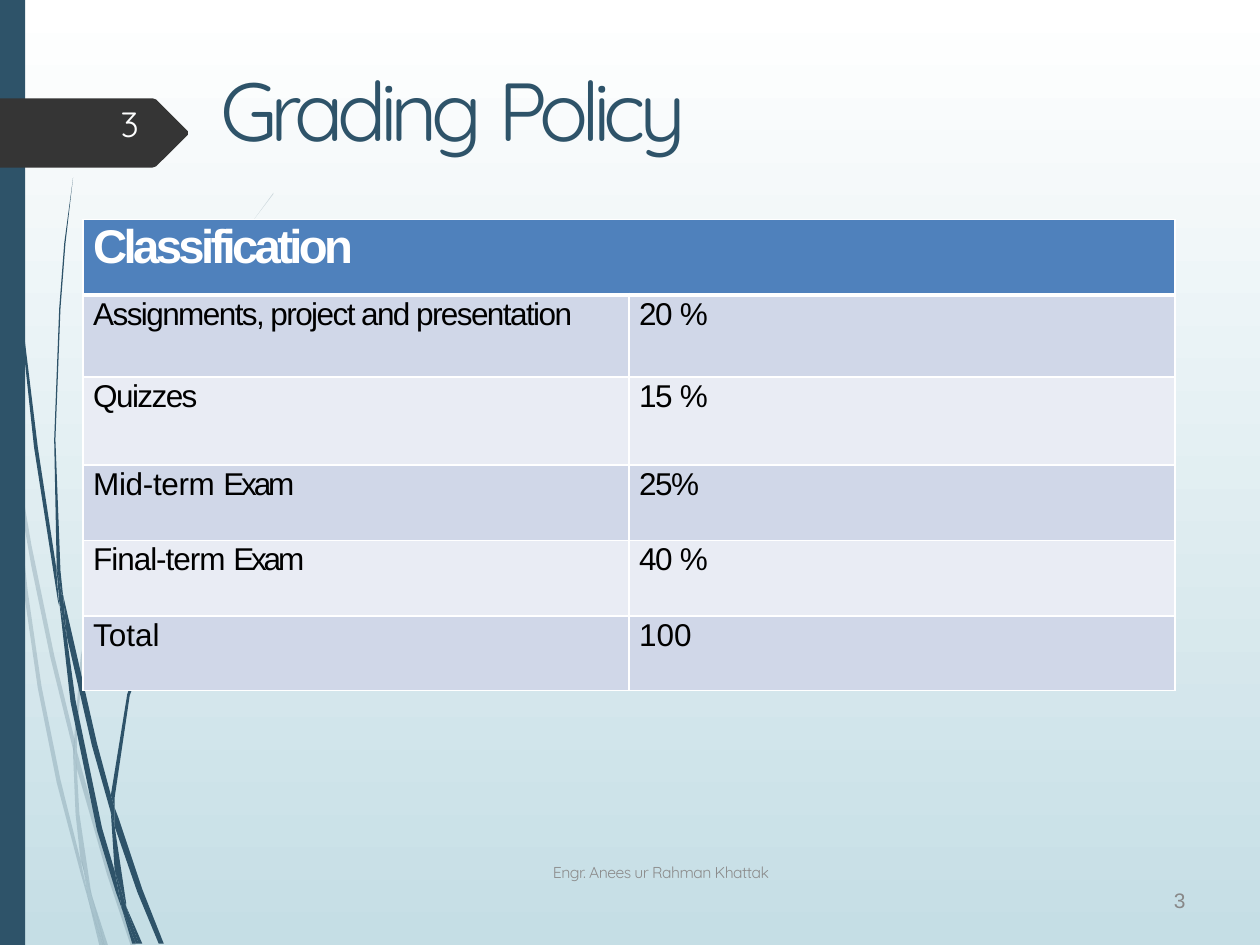
from lxml.etree import SubElement
from pptx import Presentation
from pptx.dml.color import RGBColor
from pptx.enum.shapes import MSO_SHAPE as Shape
from pptx.enum.text import MSO_ANCHOR as Anchor, PP_ALIGN as Align
from pptx.oxml.ns import qn
from pptx.util import Pt

NAVY, WHITE, CHARCOAL = "2E5369", "FFFFFF", "353535"
HUNDREDTH_INCH = Pt(0.72)

PALE_WISPS = [
    [(8, 350), (6, 322), (0, 282), (0, 299), (7, 344)],
    [(40, 522), (59, 599), (59, 586), (43, 520), (25, 433), (10, 345), (12, 376), (25, 450)],
    [(64, 607), (61, 596), (61, 610), (85, 694), (104, 751), (108, 751), (88, 692)],
    [(83, 751), (86, 751), (73, 711)],
    [(64, 683), (48, 619), (33, 545), (22, 469), (12, 376), (8, 350), (12, 410), (19, 470),
     (30, 546), (45, 621), (64, 693), (70, 714), (69, 707)],
    [(58, 599), (60, 646), (64, 683), (67, 692), (73, 711), (72, 706), (63, 646), (61, 610),
     (61, 608)],
    [(61, 584), (66, 522), (76, 462), (111, 349), (159, 245), (187, 198), (201, 175),
     (217, 154), (217, 153), (201, 175), (186, 197), (158, 244), (110, 348), (75, 461),
     (64, 522), (59, 584), (59, 586), (61, 596)],
    [(70, 714), (79, 751), (82, 751)],
    [(61, 608), (61, 610), (61, 596), (59, 586), (58, 599)],
    [(67, 692), (65, 683), (69, 707), (70, 714), (82, 751), (83, 751), (73, 711)],
]
DARK_WISPS = [
    [(5, 110), (14, 233), (27, 355), (46, 477), (47, 481), (45, 457), (45, 453), (30, 355),
     (15, 232), (6, 109), (4, 48), (3, 0), (2, 0), (3, 48)],
    [(73, 592), (88, 645), (88, 633), (88, 631), (77, 590), (50, 472), (53, 505)],
    [(94, 649), (91, 641), (91, 656), (109, 708), (126, 749), (130, 749), (113, 706)],
    [(91, 691), (81, 657), (60, 556), (53, 505), (47, 477), (56, 557), (77, 659), (92, 708),
     (97, 722), (96, 717)],
    [(50, 472), (48, 453), (44, 349), (48, 245), (52, 193), (58, 141), (51, 193), (47, 245),
     (43, 349), (45, 449), (49, 472)],
    [(110, 749), (113, 749), (100, 719)],
    [(47, 477), (53, 505), (50, 472), (49, 472), (45, 449), (45, 453)],
    [(91, 633), (103, 552), (131, 476), (169, 406), (191, 374), (203, 359), (216, 344),
     (215, 344), (203, 358), (191, 373), (168, 405), (129, 474), (101, 551), (88, 631),
     (91, 641)],
    [(97, 722), (105, 749), (108, 749)],
    [(88, 645), (91, 691), (96, 706), (100, 719), (100, 716), (91, 656), (90, 651)],
    [(88, 645), (90, 651), (91, 656), (91, 641), (88, 631), (88, 633)],
    [(96, 706), (91, 691), (96, 717), (97, 722), (108, 749), (110, 749), (100, 719)],
]
NUMBER_TAG = [(149, 107), (124, 132), (121, 133), (0, 133), (0, 78), (121, 78), (124, 79),
              (149, 104)]

GRADES = [
    ([("Assignments, project and presentation", -0.9)], [("20 ", -0.9), ("%", -0.8)]),
    ([("Quizzes", -0.9)], [("15 ", -0.9), ("%", -0.8)]),
    ([("Mid-term ", -0.2), ("Exam", -1.8)], [("25%", -0.9)]),
    ([("Final-term ", -0.6), ("Exam", -1.8)], [("40 ", -0.9), ("%", -0.8)]),
    ([("Total", 0)], [("100", 0)]),
]
ROW_HEIGHTS = [43.2, 46.8, 50.4, 43.2, 43.2, 42.48]


def color(value):
    """Turn a hex string into a colour."""
    return RGBColor.from_string(value)


def paint(shape, fill, opacity=100):
    """Give a shape a plain fill with no line or shadow."""
    shape.shadow.inherit = False
    shape.line.fill.background()
    shape.fill.solid()
    shape.fill.fore_color.rgb = color(fill)
    if opacity < 100:
        tint = shape.fill._xPr.find(qn("a:solidFill"))[0]
        SubElement(tint, qn("a:alpha"), val=str(opacity * 1000))


def add_outline(page, points, fill, opacity=100):
    """Draw a closed outline given in hundredths of an inch."""
    builder = page.shapes.build_freeform(*points[0], scale=HUNDREDTH_INCH)
    builder.add_line_segments(points[1:], close=True)
    paint(builder.convert_to_shape(), fill, opacity)


def write(frame, runs, size, font, ink, bold=False, before=0, align=Align.LEFT, leading=None):
    """Write one paragraph from pairs of text and letter spacing."""
    para = frame.paragraphs[0]
    para.alignment = align
    para.space_before = Pt(before)
    if leading:
        para.line_spacing = Pt(leading)
    for text, tracking in runs:
        span = para.add_run()
        span.text = text
        span.font.size, span.font.name, span.font.bold = Pt(size), font, bold
        span.font.color.rgb = color(ink)
        span._r.get_or_add_rPr().set("spc", str(round(tracking * 100)))


def add_text(page, place, runs, size, font, ink, margins=(0, 0), anchor=Anchor.TOP, **style):
    """Place a text box with equal side margins and equal top and bottom margins."""
    box = page.shapes.add_textbox(*map(Pt, place))
    frame = box.text_frame
    frame.word_wrap = True
    frame.vertical_anchor = anchor
    frame.margin_left = frame.margin_right = Pt(margins[0])
    frame.margin_top = frame.margin_bottom = Pt(margins[1])
    write(frame, runs, size, font, ink, **style)


def style_cell(cell, fill, top=1, bottom=1):
    """Set the margins, white borders and fill of a cell."""
    cell.margin_left, cell.margin_top = Pt(5.76), Pt(1)
    cell.margin_right = cell.margin_bottom = 0
    properties = cell._tc.get_or_add_tcPr()
    for side, width in (("L", 1), ("R", 1), ("T", top), ("B", bottom)):
        line = SubElement(properties, qn(f"a:ln{side}"), w=str(Pt(width)))
        SubElement(SubElement(line, qn("a:solidFill")), qn("a:srgbClr"), val=WHITE)
    cell.fill.solid()
    cell.fill.fore_color.rgb = color(fill)


def add_grades(page):
    """Add the table of grade shares under a merged heading."""
    place = map(Pt, (47.52, 125.28, 624, sum(ROW_HEIGHTS)))
    table = page.shapes.add_table(len(ROW_HEIGHTS), 2, *place).table
    table.first_row = table.horz_banding = False
    for row, height in zip(table.rows, ROW_HEIGHTS):
        row.height = Pt(height)
    heading = table.cell(0, 0)
    heading.merge(table.cell(0, 1))
    for column in range(2):
        style_cell(table.cell(0, column), "4F81BC", bottom=3)
    write(heading.text_frame, [("Classification", -2.1)], 27, "Arial", WHITE, True, 1.1)
    for number, grade in enumerate(GRADES, 1):
        for column, runs in enumerate(grade):
            cell = table.cell(number, column)
            style_cell(cell, "D0D7E8" if number % 2 else "E9ECF4", top=3 if number == 1 else 1)
            write(cell.text_frame, runs, 18, "Arial", "000000", before=1.6)


def set_background(page):
    """Fill the page from white down to pale blue."""
    fill = page.background.fill
    fill.gradient()
    fill.gradient_angle = 270
    for stop, value, position in zip(fill.gradient_stops, (WHITE, "C5DEE5"), (0, 1)):
        stop.color.rgb = color(value)
        stop.position = position


def main():
    """Build the grading policy slide."""
    deck = Presentation()
    deck.slide_width, deck.slide_height = Pt(720), Pt(540)
    page = deck.slides.add_slide(deck.slide_layouts[6])
    set_background(page)
    for wisp in PALE_WISPS:
        add_outline(page, wisp, NAVY, 20)
    for wisp in DARK_WISPS:
        add_outline(page, wisp, NAVY)
    paint(page.shapes.add_shape(Shape.RECTANGLE, 0, 0, Pt(14.4), Pt(540)), NAVY)
    add_outline(page, NUMBER_TAG, CHARCOAL)
    add_text(page, (126, 33.12, 360, 58.32), [("Grading ", -3.9), ("Policy", -4)],
             47, "Quicksand", NAVY, (0, 0.72), before=1.1)
    add_text(page, (152.64, 483.12, 450, 28.8), [("Engr. Anees ur Rahman Khattak", -0.3)],
             9, "Quicksand", "8C8C8C", (7.2, 3.6), Anchor.MIDDLE,
             align=Align.CENTER, leading=12.4)
    add_text(page, (40.32, 61.92, 46.08, 28.8), [("3", -0.6)], 20, "Quicksand", "FEFFFF",
             (7.2, 3.6), Anchor.MIDDLE, align=Align.RIGHT, leading=12.4)
    add_text(page, (670.88, 509.04, 10.08, 14.4), [("3", -0.6)], 12, "Arial", "888888",
             leading=12.4)
    add_grades(page)
    deck.save("out.pptx")


if __name__ == "__main__":
    main()
